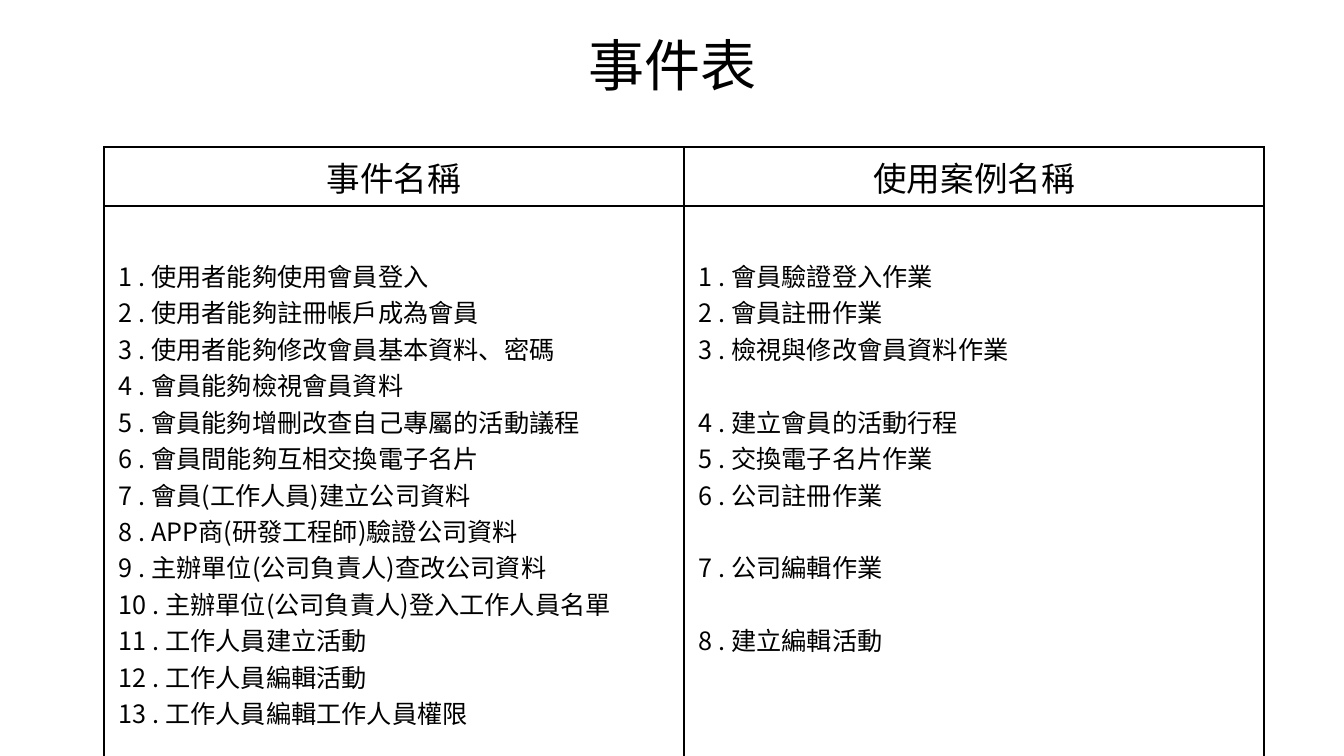
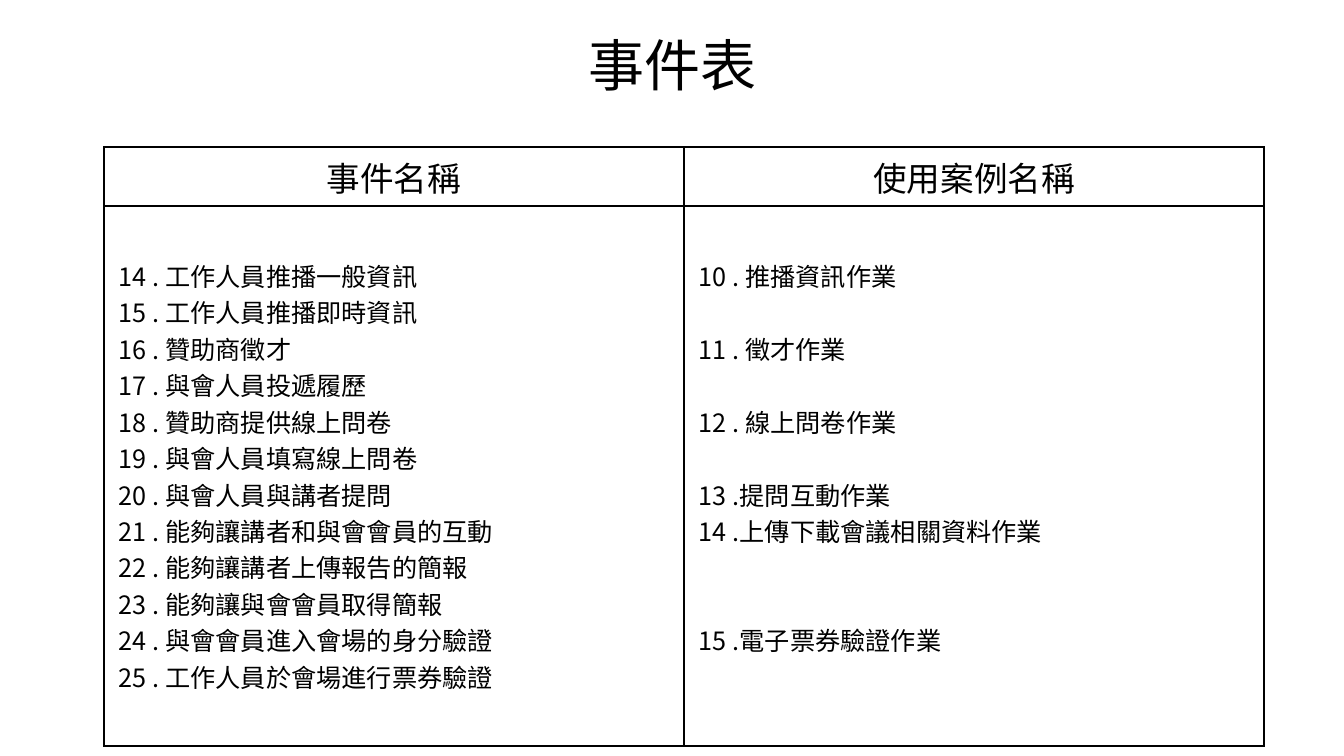
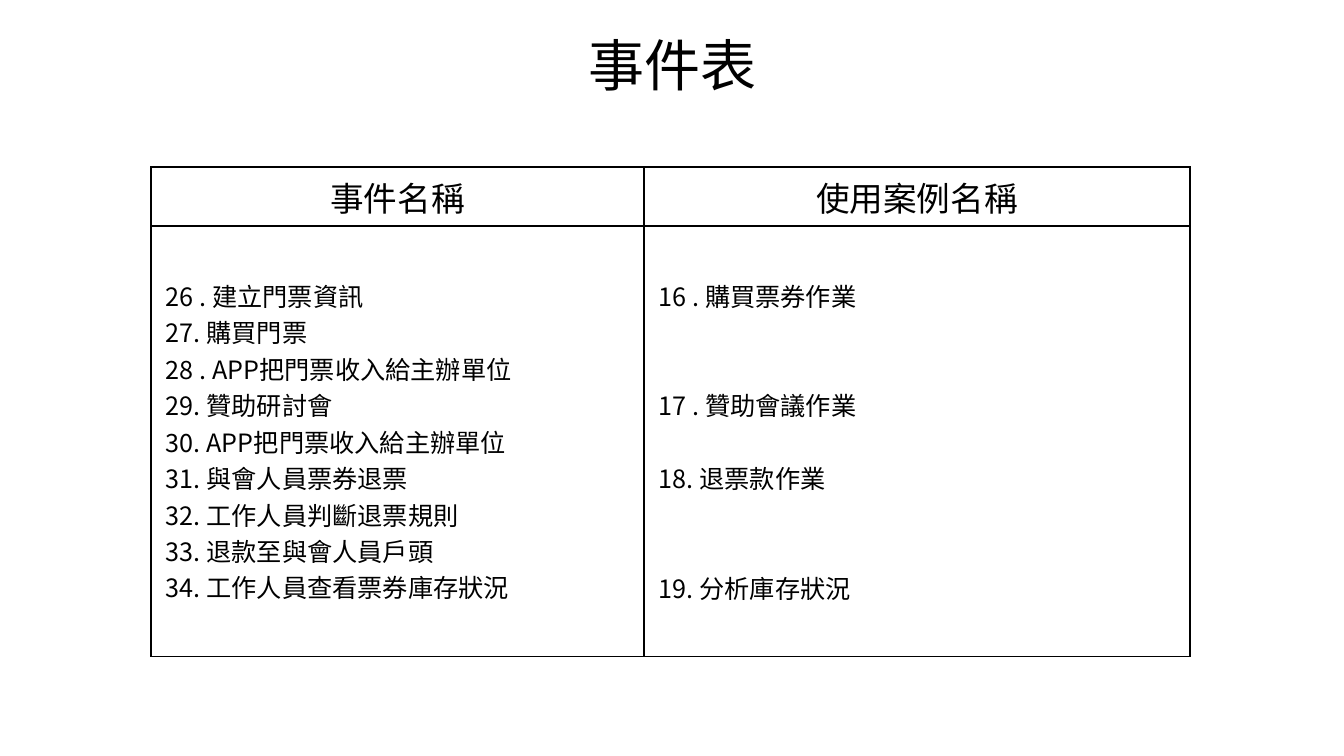
from lxml import etree
from pptx import Presentation
from pptx import util as u
from pptx.dml.color import RGBColor
from pptx.enum import text
from pptx.oxml import ns

PX = 914400 / 100.8
BLACK = RGBColor(0, 0, 0)
WHITE = RGBColor(255, 255, 255)
FONT = "Noto Sans CJK SC"
TITLE = "事件表"
HEADINGS = ("事件名稱", "使用案例名稱")
TITLE_BOX = (93, 31, 1159, 84)
HEADING_HEIGHT = 59
LINE_HEIGHT = 36.5
LINE_POINTS = 26.06
SIDE_INSET = 15
END_INSET = 51

ACCOUNT_EVENTS = [
    "1 . 使用者能夠使用會員登入",
    "2 . 使用者能夠註冊帳戶成為會員",
    "3 . 使用者能夠修改會員基本資料、密碼",
    "4 . 會員能夠檢視會員資料",
    "5 . 會員能夠增刪改查自己專屬的活動議程",
    "6 . 會員間能夠互相交換電子名片",
    "7 . 會員(工作人員)建立公司資料",
    "8 . APP商(研發工程師)驗證公司資料",
    "9 . 主辦單位(公司負責人)查改公司資料",
    "10 . 主辦單位(公司負責人)登入工作人員名單",
    "11 . 工作人員建立活動",
    "12 . 工作人員編輯活動",
    "13 . 工作人員編輯工作人員權限",
]
ACCOUNT_CASES = {
    0: "1 . 會員驗證登入作業",
    1: "2 . 會員註冊作業",
    2: "3 . 檢視與修改會員資料作業",
    4: "4 . 建立會員的活動行程",
    5: "5 . 交換電子名片作業",
    6: "6 . 公司註冊作業",
    8: "7 . 公司編輯作業",
    10: "8 . 建立編輯活動",
}
MEETING_EVENTS = [
    "14 . 工作人員推播一般資訊",
    "15 . 工作人員推播即時資訊",
    "16 . 贊助商徵才",
    "17 . 與會人員投遞履歷",
    "18 . 贊助商提供線上問卷",
    "19 . 與會人員填寫線上問卷",
    "20 . 與會人員與講者提問",
    "21 . 能夠讓講者和與會會員的互動",
    "22 . 能夠讓講者上傳報告的簡報",
    "23 . 能夠讓與會會員取得簡報",
    "24 . 與會會員進入會場的身分驗證",
    "25 . 工作人員於會場進行票券驗證",
]
MEETING_CASES = {
    0: "10 . 推播資訊作業",
    2: "11 . 徵才作業",
    4: "12 . 線上問卷作業",
    6: "13 .提問互動作業",
    7: "14 .上傳下載會議相關資料作業",
    10: "15 .電子票券驗證作業",
}
TICKET_EVENTS = [
    "26 . 建立門票資訊",
    "27. 購買門票",
    "28 . APP把門票收入給主辦單位",
    "29. 贊助研討會",
    "30. APP把門票收入給主辦單位",
    "31. 與會人員票券退票",
    "32. 工作人員判斷退票規則",
    "33. 退款至與會人員戶頭",
    "34. 工作人員查看票券庫存狀況",
]
TICKET_CASES = {
    0: "16 . 購買票券作業",
    3: "17 . 贊助會議作業",
    5: "18. 退票款作業",
    8: "19. 分析庫存狀況",
}


def px(length):
    """Turn pixels into EMU."""
    return u.Emu(round(length * PX))


def add_run(paragraph, wording, size):
    """Add one run in the shared font and colour."""
    run = paragraph.add_run()
    run.text = wording
    run.font.size = u.Pt(size)
    run.font.bold = False
    run.font.color.rgb = BLACK
    run.font.name = FONT
    east_asian = etree.SubElement(run.font._element, ns.qn("a:ea"))
    east_asian.set("typeface", FONT)


def add_title(slide, box):
    """Place the centred slide title in its box."""
    title = slide.shapes.title
    title.left, title.top, title.width, title.height = map(px, box)
    frame = title.text_frame
    frame.auto_size = text.MSO_AUTO_SIZE.NONE
    frame.vertical_anchor = text.MSO_ANCHOR.MIDDLE
    frame.margin_top, frame.margin_bottom = 0, px(10)
    heading = frame.paragraphs[0]
    heading.alignment = text.PP_ALIGN.CENTER
    heading.line_spacing = 0.9
    add_run(heading, TITLE, 40)


def outline_cell(cell):
    """Give a cell thin black borders and a white fill."""
    properties = cell._tc.get_or_add_tcPr()
    for side in ("lnL", "lnR", "lnT", "lnB"):
        border = etree.SubElement(properties, ns.qn("a:" + side), w=str(u.Pt(1)))
        fill = etree.SubElement(border, ns.qn("a:solidFill"))
        etree.SubElement(fill, ns.qn("a:srgbClr"), val=str(BLACK))
    cell.fill.solid()
    cell.fill.fore_color.rgb = WHITE


def fill_heading(cell, wording):
    """Write a centred column heading."""
    outline_cell(cell)
    heading = cell.text_frame.paragraphs[0]
    heading.alignment = text.PP_ALIGN.CENTER
    add_run(heading, wording, 24)


def fill_list(cell, entries):
    """Write entries on their numbered lines, with spacing for unused lines."""
    outline_cell(cell)
    cell.margin_left = cell.margin_right = px(SIDE_INSET)
    cell.margin_top = cell.margin_bottom = px(END_INSET)
    next_line = 0
    for line, wording in entries.items():
        frame = cell.text_frame
        entry = frame.add_paragraph() if line else frame.paragraphs[0]
        entry.space_before = u.Pt((line - next_line) * LINE_POINTS)
        add_run(entry, wording, 18)
        next_line = line + 1


def add_event_table(slide, origin, widths, events, cases):
    """Place the table of events and use cases at its origin."""
    body_height = 2 * END_INSET + len(events) * LINE_HEIGHT
    heights = (HEADING_HEIGHT, body_height)
    left, top = origin
    table = slide.shapes.add_table(
        2, 2, px(left), px(top), px(sum(widths)), px(sum(heights))).table
    table.first_row = table.horz_banding = False
    for row, height in zip(table.rows, heights):
        row.height = px(height)
    lists = (dict(enumerate(events)), cases)
    for index, width in enumerate(widths):
        table.columns[index].width = px(width)
        fill_heading(table.cell(0, index), HEADINGS[index])
        fill_list(table.cell(1, index), lists[index])


def add_event_slide(deck, origin, widths, events, cases):
    """Add a slide with the title and one event table."""
    slide = deck.slides.add_slide(deck.slide_layouts[5])
    add_title(slide, TITLE_BOX)
    add_event_table(slide, origin, widths, events, cases)


def main():
    """Build and save the deck."""
    deck = Presentation()
    deck.slide_width, deck.slide_height = px(1344), px(756)
    wide = ((104, 147), (580, 580))
    narrow = ((151, 167), (493, 546))
    add_event_slide(deck, *wide, ACCOUNT_EVENTS, ACCOUNT_CASES)
    add_event_slide(deck, *wide, MEETING_EVENTS, MEETING_CASES)
    add_event_slide(deck, *narrow, TICKET_EVENTS, TICKET_CASES)
    deck.save("out.pptx")


main()
